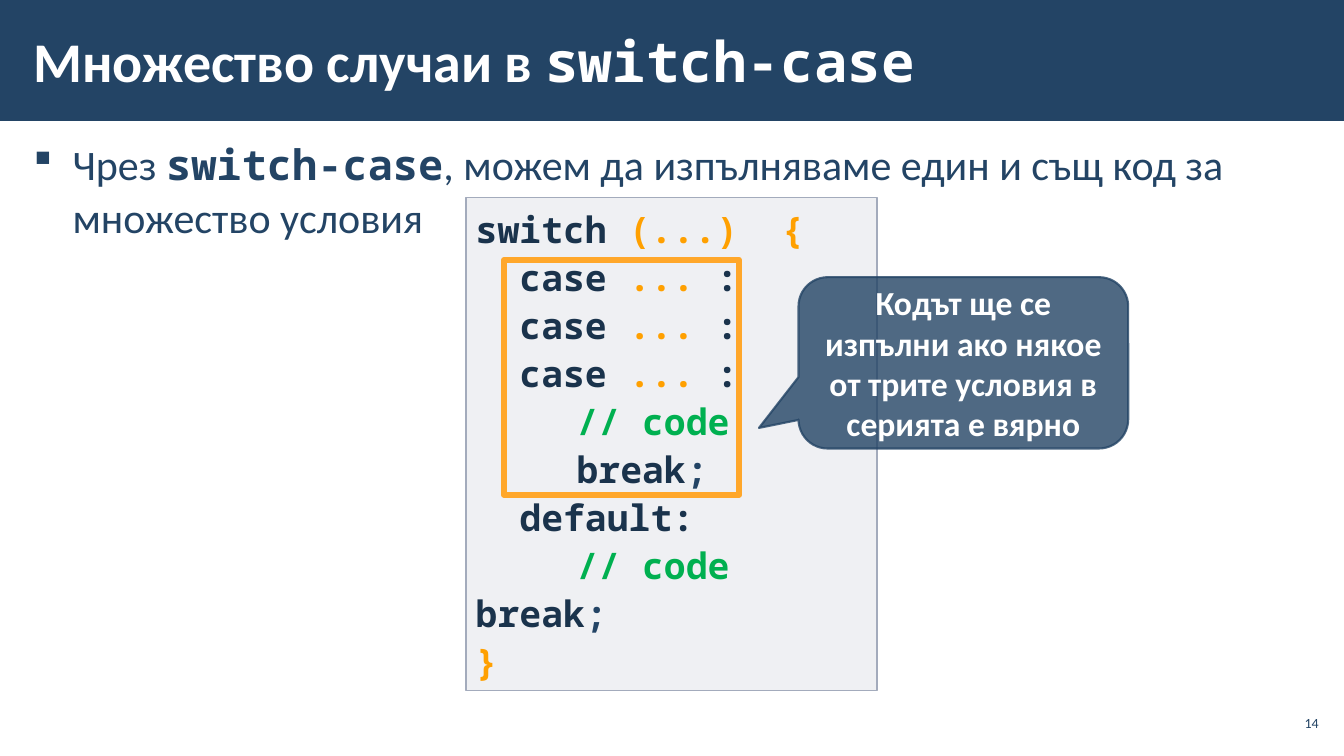
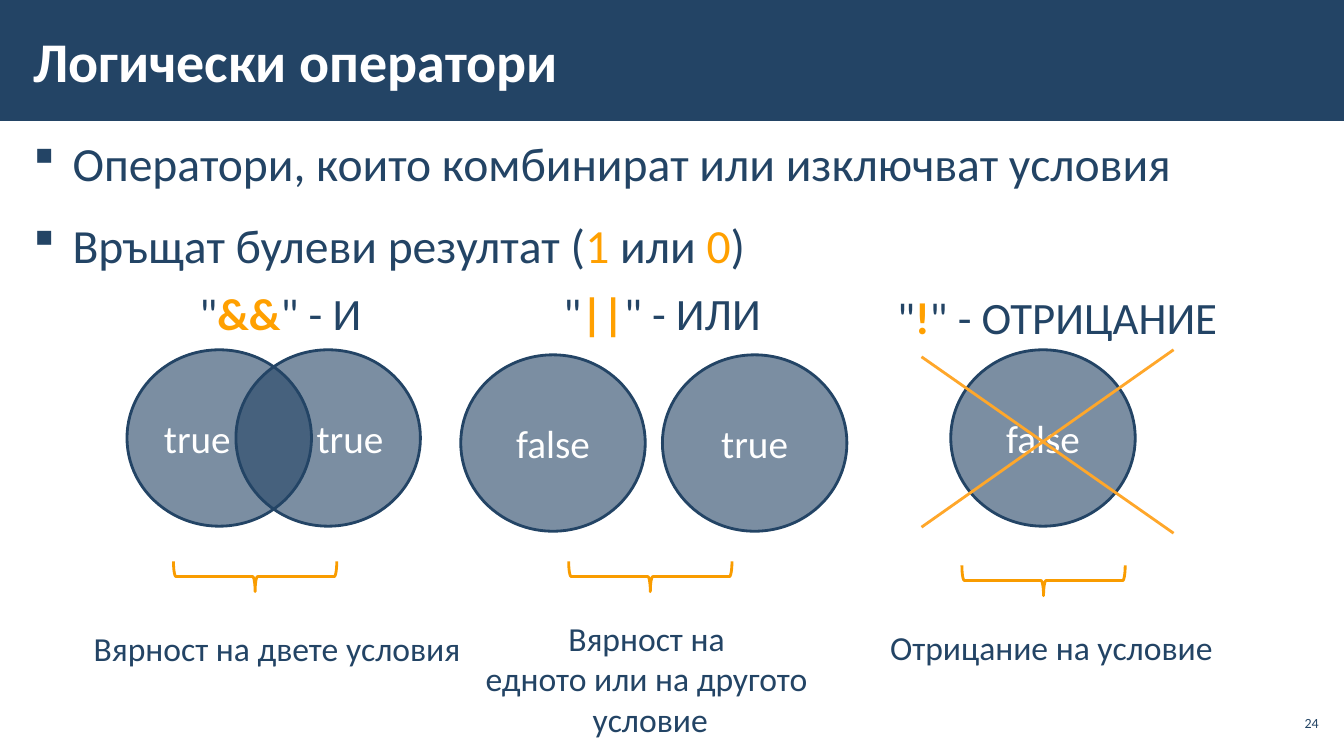
"""Build two programming slides: switch-case with several cases, and logical operators."""
from lxml.etree import SubElement
from pptx import Presentation
from pptx.dml.color import RGBColor
from pptx.enum.shapes import MSO_CONNECTOR, MSO_SHAPE
from pptx.enum.text import MSO_ANCHOR, PP_ALIGN
from pptx.oxml.ns import qn
from pptx.util import Inches, Pt

COLOURS = {
    "navy": "234465", "ink": "1A334C", "orange": "FFA000", "frame": "FFA72A",
    "brace": "F99C00", "green": "00B050", "panel": "C2C7D2", "edge": "A3ABBC",
    "white": "FFFFFF",
}
SANS, MONO = "Calibri", "Noto Sans Mono"
LEFT, CENTER, RIGHT = PP_ALIGN.LEFT, PP_ALIGN.CENTER, PP_ALIGN.RIGHT
TOP, MIDDLE = MSO_ANCHOR.TOP, MSO_ANCHOR.MIDDLE


def write(shape, paragraphs, size=24, font=SANS, colour="navy", bold=False, align=LEFT,
          anchor=TOP, insets=(0.1, 0.05), wrap=True, spacing=None, gap=0, bullet=None,
          tabs=()):
    """Fill a shape with paragraphs of spans, each a string or (string, overrides)."""
    frame = shape.text_frame
    frame.word_wrap, frame.vertical_anchor = wrap, anchor
    frame.margin_left = frame.margin_right = Inches(insets[0])
    frame.margin_top = frame.margin_bottom = Inches(insets[1])
    for index, spans in enumerate(paragraphs):
        para = frame.add_paragraph() if index else frame.paragraphs[0]
        para.alignment = align
        para.space_before = para.space_after = Pt(gap)
        if spacing:
            para.line_spacing = spacing
        properties = para._p.get_or_add_pPr()
        if bullet:
            properties.set("marL", str(Inches(0.39)))
            properties.set("indent", str(-Inches(0.39)))
            SubElement(properties, qn("a:buFont")).set("typeface", "Wingdings")
            SubElement(properties, qn("a:buChar")).set("char", bullet)
        if tabs:
            stops = SubElement(properties, qn("a:tabLst"))
            for position in tabs:
                SubElement(stops, qn("a:tab"), pos=str(Inches(position)), algn="l")
        for item in spans:
            text, changes = (item, {}) if isinstance(item, str) else item
            span = para.add_run()
            span.text = text
            span.font.size = Pt(size)
            span.font.name = changes.get("font", font)
            span.font.bold = changes.get("bold", bold)
            span.font.color.rgb = RGBColor.from_string(COLOURS[changes.get("colour", colour)])


def add_figure(page, kind, place, fill=None, opacity=100, line=None, width=1, line_opacity=100):
    """Add a preset shape with its fill, outline and opacity."""
    shape = page.shapes.add_shape(kind, *map(Inches, place))
    shape.shadow.inherit = False
    for paint, colour, percent in ((shape.fill, fill, opacity),
                                   (shape.line.fill, line, line_opacity)):
        if colour is None:
            paint.background()
            continue
        paint.solid()
        paint.fore_color.rgb = RGBColor.from_string(COLOURS[colour])
        if percent < 100:
            parent = shape.element.spPr if paint is shape.fill else shape.line._ln
            swatch = parent.find(qn("a:solidFill"))[0]
            SubElement(swatch, qn("a:alpha")).set("val", str(percent * 1000))
    if line:
        shape.line.width = Pt(width)
    return shape


ORANGE = {"colour": "orange"}
GREEN = {"colour": "green"}
NAVY = {"colour": "navy"}
CODE = {"font": MONO, "bold": True}

deck = Presentation()
deck.slide_width, deck.slide_height = Inches(13.33), Inches(7.5)

outlines = [
    {"title": ["Множество случаи в ", ("switch-case", CODE)], "number": "14",
     "place": (0.21, 1.31, 12.92, 6.05), "size": 30, "spacing": 1.05,
     "bullets": [["Чрез ", ("switch-case", CODE),
                  ", можем да изпълняваме един и същ код за множество условия"]]},
    {"title": ["Логически оператори"], "number": "24",
     "place": (0.21, 1.2, 12.91, 6.09), "size": 34, "spacing": 1.15,
     "bullets": [["Оператори, които комбинират или изключват условия"],
                 ["Връщат булеви резултат (", ("1", ORANGE), " или ", ("0", ORANGE), ")"]]},
]
pages = []
for outline in outlines:
    page = deck.slides.add_slide(deck.slide_layouts[6])
    pages.append(page)
    add_figure(page, MSO_SHAPE.RECTANGLE, (0, 0, 13.33, 1.2), "navy")
    body = page.shapes.add_textbox(*map(Inches, outline["place"]))
    write(body, outline["bullets"], size=outline["size"], spacing=outline["spacing"],
          gap=6, insets=(0.12, 0.04), bullet="§")
    title = page.shapes.add_textbox(*map(Inches, (0.21, 0.11, 10.63, 0.97)))
    write(title, [outline["title"]], size=40, colour="white", bold=True,
          anchor=MIDDLE, insets=(0.12, 0.04))
    number = page.shapes.add_textbox(*map(Inches, (12.65, 7, 0.47, 0.34)))
    write(number, [[outline["number"]]], size=10, align=RIGHT, anchor=MIDDLE,
          insets=(0.04, 0.04))

switch_page, operator_page = pages

case_line = ["  case ", ("... ", ORANGE), ":"]
code_lines = [
    ["switch ", ("(...)  {", ORANGE)],
    *[case_line] * 3,
    [("\t// code", GREEN)],
    ["\tbreak", (";", NAVY)],
    ["  default:"],
    [("\t// code \t", GREEN), "break", (";", NAVY)],
    [("}", ORANGE)],
]
panel = add_figure(switch_page, MSO_SHAPE.RECTANGLE, (4.62, 1.96, 4.08, 4.89),
                   "panel", 25, "edge")
write(panel, code_lines, size=26, font=MONO, colour="ink", bold=True,
      spacing=Pt(34.3), tabs=(1, 3))
add_figure(switch_page, MSO_SHAPE.RECTANGLE, (5, 2.58, 2.33, 2.33), line="frame", width=4.5)
callout = add_figure(switch_page, MSO_SHAPE.ROUNDED_RECTANGULAR_CALLOUT,
                     (7.92, 2.75, 3.27, 1.7), "navy", 80, "navy", 1.5, 80)
for index, value in enumerate((-0.62, 0.38, 0.17)):
    callout.adjustments[index] = value
write(callout, [["Кодът ще се изпълни ако някое от трите условия в серията е вярно"]],
      colour="white", bold=True, align=CENTER, anchor=MIDDLE)

circles = [
    (1.26, 3.47, "true", LEFT), (2.34, 3.47, "true", RIGHT),
    (4.57, 3.52, "false", CENTER), (6.57, 3.52, "true", CENTER),
    (9.43, 3.47, "false", CENTER),
]
for left, top, value, align in circles:
    circle = add_figure(operator_page, MSO_SHAPE.OVAL, (left, top, 1.83, 1.75),
                        "navy", 60, "navy", 2)
    write(circle, [[value]], size=28, colour="white", align=align, anchor=MIDDLE)

operators = [
    ("&&", "И", (1.88, 2.79, 2, 0.64), (2.38, 4.91),
     ["Вярност на двете условия"], (0.83, 6.18, 3.87, 0.5)),
    ("||", "ИЛИ", (5.49, 2.79, 2.3, 0.64), (6.3, 4.91),
     ["Вярност на ", "едното или на другото ", "условие"], (4.7, 6.08, 3.5, 1.31)),
    ("!", "ОТРИЦАНИЕ", (8.8, 2.83, 3.5, 0.64), (10.2, 4.95),
     ["Отрицание на условие"], (8.73, 6.17, 3.44, 0.5)),
]
for symbol, word, label_place, brace_corner, lines, caption_place in operators:
    label = operator_page.shapes.add_textbox(*map(Inches, label_place))
    write(label, [['"', (symbol, {"colour": "orange", "bold": True}), f'" - {word}']],
          size=32)
    brace = add_figure(operator_page, MSO_SHAPE.RIGHT_BRACE, (*brace_corner, 0.3, 1.62),
                       line="brace", width=2)
    brace.rotation = 90
    caption = operator_page.shapes.add_textbox(*map(Inches, caption_place))
    write(caption, [[line] for line in lines], wrap=False,
          align=CENTER if len(lines) > 1 else LEFT)

for start, end in ((3.47, 5.23), (5.29, 3.54)):
    stroke = operator_page.shapes.add_connector(
        MSO_CONNECTOR.STRAIGHT, *map(Inches, (11.64, start, 9.14, end)))
    stroke.line.color.rgb = RGBColor.from_string(COLOURS["frame"])
    stroke.line.width = Pt(2)
    SubElement(stroke.element.spPr, qn("a:effectLst"))

deck.save("out.pptx")
